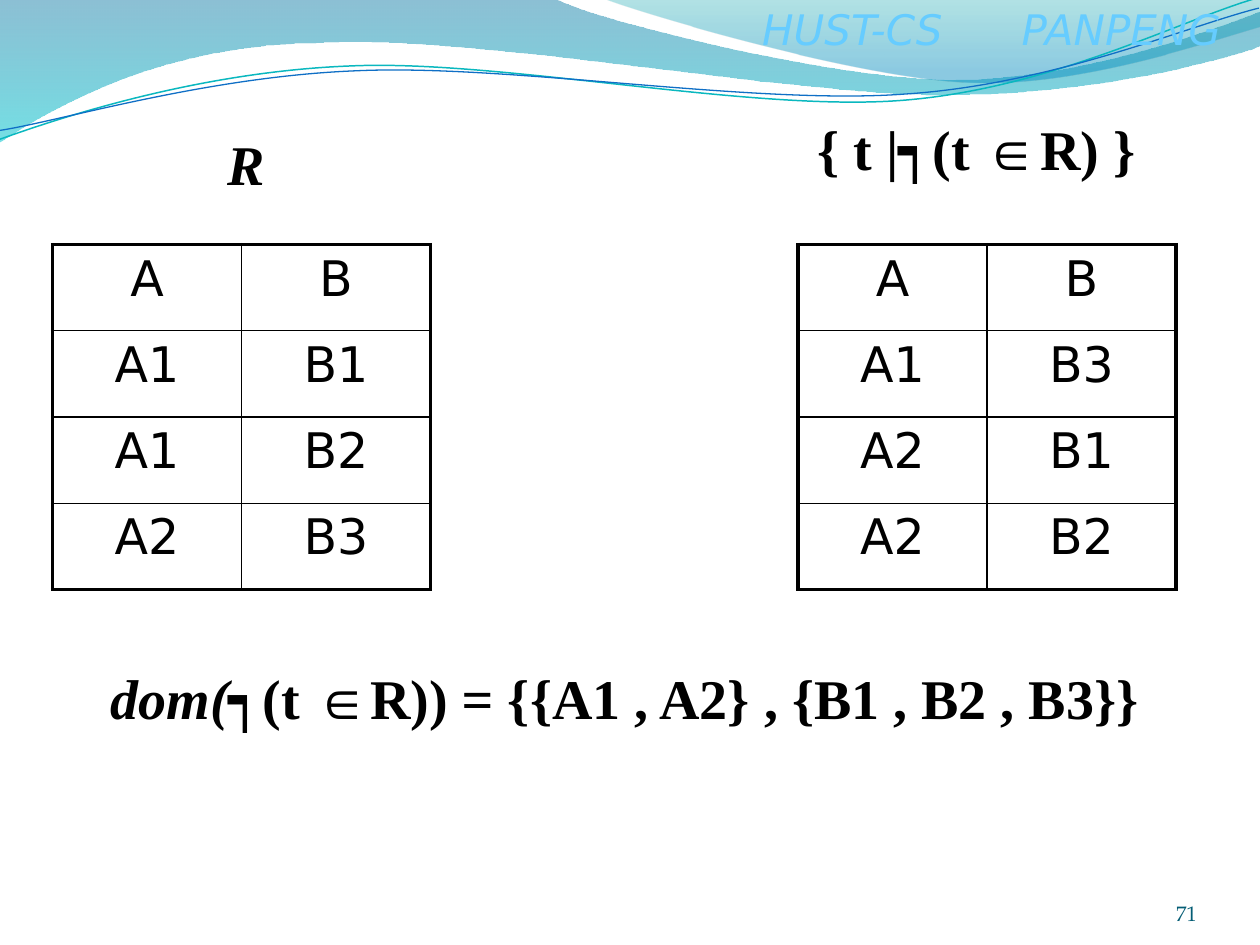
from dataclasses import dataclass, field
from typing import Any

from lxml.etree import SubElement
from pptx import Presentation
from pptx.dml.color import RGBColor as Rgb
from pptx.enum.text import MSO_ANCHOR as Anchor, MSO_AUTO_SIZE as AutoSize, PP_ALIGN as Align
from pptx.oxml.ns import qn
from pptx.util import Inches, Pt

Segment = tuple[float, ...]


@dataclass(frozen=True)
class Theme:
    ink: str = "000000"
    header: str = "66CCFF"
    page_number: str = "045D75"
    sans: str = "DejaVu Sans"
    serif: str = "Times New Roman"
    palatino: str = "TeX Gyre Pagella"
    formula_size: int = 32
    cell_size: int = 28
    header_size: int = 24
    number_size: int = 12
    outer_border: float = 2.25
    inner_border: float = 1


THEME = Theme()
FORMULA = {"name": THEME.serif, "size": Pt(THEME.formula_size), "bold": True, "italic": False}
SLANTED = FORMULA | {"italic": True}
CELL = {"name": THEME.sans, "size": Pt(THEME.cell_size)}
HEADER = {"name": THEME.sans, "size": Pt(THEME.header_size), "italic": True}
NUMBER = {"name": THEME.palatino, "size": Pt(THEME.number_size)}


@dataclass(frozen=True)
class Stop:
    position: float
    color: str
    opacity: int


@dataclass(frozen=True)
class Wave:
    start: tuple[float, float]
    segments: list[Segment]
    stops: tuple[Stop, ...] = ()
    line: str = ""
    weight: float = 0
    rotation: float = 0


@dataclass(frozen=True)
class Label:
    at: tuple[float, float, float, float]
    spans: list[tuple[str, dict[str, Any]]]
    color: str = THEME.ink
    align: Align = Align.CENTER
    frame: dict[str, Any] = field(default_factory=lambda: {"auto_size": AutoSize.SHAPE_TO_FIT_TEXT})
    tab: float = 0


@dataclass(frozen=True)
class Relation:
    left: float
    rows: list[tuple[str, str]]


CONTENT = [
    Wave((0, -0.01), [
        (4.4, -0.01), (4.76, 0.17, 6.64, 0.63, 7.58, 0.63), (8.53, 0.63, 9.58, 0.26, 10, 0.09),
        (10.01, 0.36), (9.83, 0.44, 8.7, 0.76, 7.46, 0.75), (6.22, 0.75, 3.82, 0.28, 2.57, 0.34),
        (1.29, 0.35, 0.46, 0.83, -0.01, 1.13), (0, -0.01),
    ], stops=(Stop(0, "0074A1", 45), Stop(1, "00C6CF", 55))),
    Wave((4.79, -0.01), [
        (5.09, 0.11, 6.82, 0.62, 7.69, 0.65), (8.56, 0.69, 9.61, 0.32, 10, 0.21),
        (10, 0), (4.79, -0.01),
    ], stops=(Stop(0, "00A1A9", 30), Stop(0.8, "008BBF", 45))),
    Wave((-0.02, 0.87), [
        (0.47, 0.72, 1.58, 0.41, 2.78, 0.42), (3.96, 0.42, 5.91, 0.93, 7.12, 0.9),
        (8.32, 0.87, 9.4, 0.36, 10, 0.22),
    ], line="0AB8BF", weight=0.85, rotation=357.3),
    Wave((-0.02, 0.8), [
        (0.46, 0.75, 1.64, 0.45, 2.83, 0.46), (4.03, 0.46, 5.96, 0.88, 7.16, 0.85),
        (8.35, 0.83, 9.42, 0.42, 10.01, 0.3),
    ], line="0F6FC6", weight=0.75, rotation=357.3),
    Label((5.95, -0.02, 4.05, 0.5), [("HUST-CS\tPANPENG", HEADER)], THEME.header, Align.LEFT, tab=2.06),
    Label((8.67, 6.95, 0.83, 0.4), [("71", NUMBER)], THEME.page_number, Align.RIGHT,
          {"vertical_anchor": Anchor.BOTTOM, "margin_left": 0, "margin_right": 0,
           "margin_top": 0, "margin_bottom": 0}),
    Relation(5 / 12, [("A", "B"), ("A1", "B1"), ("A1", "B2"), ("A2", "B3")]),
    Label((7 / 12, 5.22, 8.75, 0.63), [
        ("dom(┑", SLANTED), ("(t ∈R)) ", FORMULA), ("= ", SLANTED),
        ("{{A1 , A2} , {B1 , B2 , B3}}", FORMULA)]),
    Relation(19 / 3, [("A", "B"), ("A1", "B3"), ("A2", "B1"), ("A2", "B2")]),
    Label((17 / 12, 0.98, 13 / 12, 0.63), [("R", SLANTED)]),
    Label((37 / 6, 0.86, 19 / 6, 0.63), [("{ t |", FORMULA), ("┑", SLANTED), ("(t ∈R) }", FORMULA)]),
]


def set_values(target: Any, values: dict[str, Any]) -> None:
    for name, value in values.items():
        setattr(target, name, value)


def add_span(para: Any, text: str, font: dict[str, Any], color: str) -> None:
    span = para.add_run()
    span.text = text
    set_values(span.font, font)
    span.font.color.rgb = Rgb.from_string(color)


def bend(shape: Any, segments: list[Segment]) -> None:
    corners = iter(list(shape.element.iter(qn("a:lnTo"))))
    for segment in segments:
        group = [next(corners) for _ in range(len(segment) // 2)]
        if len(group) == 1:
            continue
        curve = SubElement(group[0].getparent(), qn("a:cubicBezTo"))
        group[0].addprevious(curve)
        for corner in group:
            curve.append(corner[0])
            corner.getparent().remove(corner)


def draw_wave(page: Any, wave: Wave) -> None:
    corners = [(Inches(x), Inches(y)) for segment in wave.segments
               for x, y in zip(segment[::2], segment[1::2])]
    builder = page.shapes.build_freeform(*map(Inches, wave.start))
    builder.add_line_segments(corners, close=bool(wave.stops))
    shape = builder.convert_to_shape()
    bend(shape, wave.segments)
    shape.rotation = wave.rotation
    shape.shadow.inherit = False
    if not wave.stops:
        shape.fill.background()
        shape.line.color.rgb = Rgb.from_string(wave.line)
        shape.line.width = Pt(wave.weight)
        return
    shape.line.fill.background()
    shape.fill.gradient()
    shape.fill.gradient_angle = 270
    for target, stop in zip(shape.fill.gradient_stops, wave.stops):
        target.position = stop.position
        target.color.rgb = Rgb.from_string(stop.color)
    for color, stop in zip(shape.element.spPr.iter(qn("a:srgbClr")), wave.stops):
        SubElement(color, qn("a:alpha"), val=str(stop.opacity * 1000))


def draw_label(page: Any, label: Label) -> None:
    box = page.shapes.add_textbox(*map(Inches, label.at))
    set_values(box.text_frame, {"word_wrap": True} | label.frame)
    para = box.text_frame.paragraphs[0]
    para.alignment = label.align
    if label.tab:
        tabs = SubElement(para._p.get_or_add_pPr(), qn("a:tabLst"))
        SubElement(tabs, qn("a:tab"), pos=str(Inches(label.tab)), algn="l")
    for text, font in label.spans:
        add_span(para, text, font, label.color)


def set_borders(cell: Any, outer: dict[str, bool]) -> None:
    properties = cell._tc.get_or_add_tcPr()
    for side, is_outer in outer.items():
        weight = THEME.outer_border if is_outer else THEME.inner_border
        line = SubElement(properties, qn(f"a:ln{side}"), w=str(Pt(weight)))
        fill = SubElement(line, qn("a:solidFill"))
        SubElement(fill, qn("a:srgbClr"), val=THEME.ink)


def draw_relation(page: Any, relation: Relation) -> None:
    last_row, last_column = len(relation.rows) - 1, len(relation.rows[0]) - 1
    table = page.shapes.add_table(last_row + 1, last_column + 1, Inches(relation.left),
                                  Inches(1.94), Inches(3), Inches(2.74)).table
    set_values(table, {"first_row": False, "horz_banding": False})
    for row, values in enumerate(relation.rows):
        for column, value in enumerate(values):
            cell = table.cell(row, column)
            set_borders(cell, {"L": column == 0, "R": column == last_column,
                               "T": row == 0, "B": row == last_row})
            cell.fill.background()
            para = cell.text_frame.paragraphs[0]
            para.alignment = Align.CENTER
            add_span(para, value, CELL, THEME.ink)


def main() -> None:
    deck = Presentation()
    deck.slide_width, deck.slide_height = Inches(10), Inches(7.5)
    page = deck.slides.add_slide(deck.slide_layouts[6])
    painters = {Wave: draw_wave, Label: draw_label, Relation: draw_relation}
    for item in CONTENT:
        painters[type(item)](page, item)
    deck.save("out.pptx")


if __name__ == "__main__":
    main()
